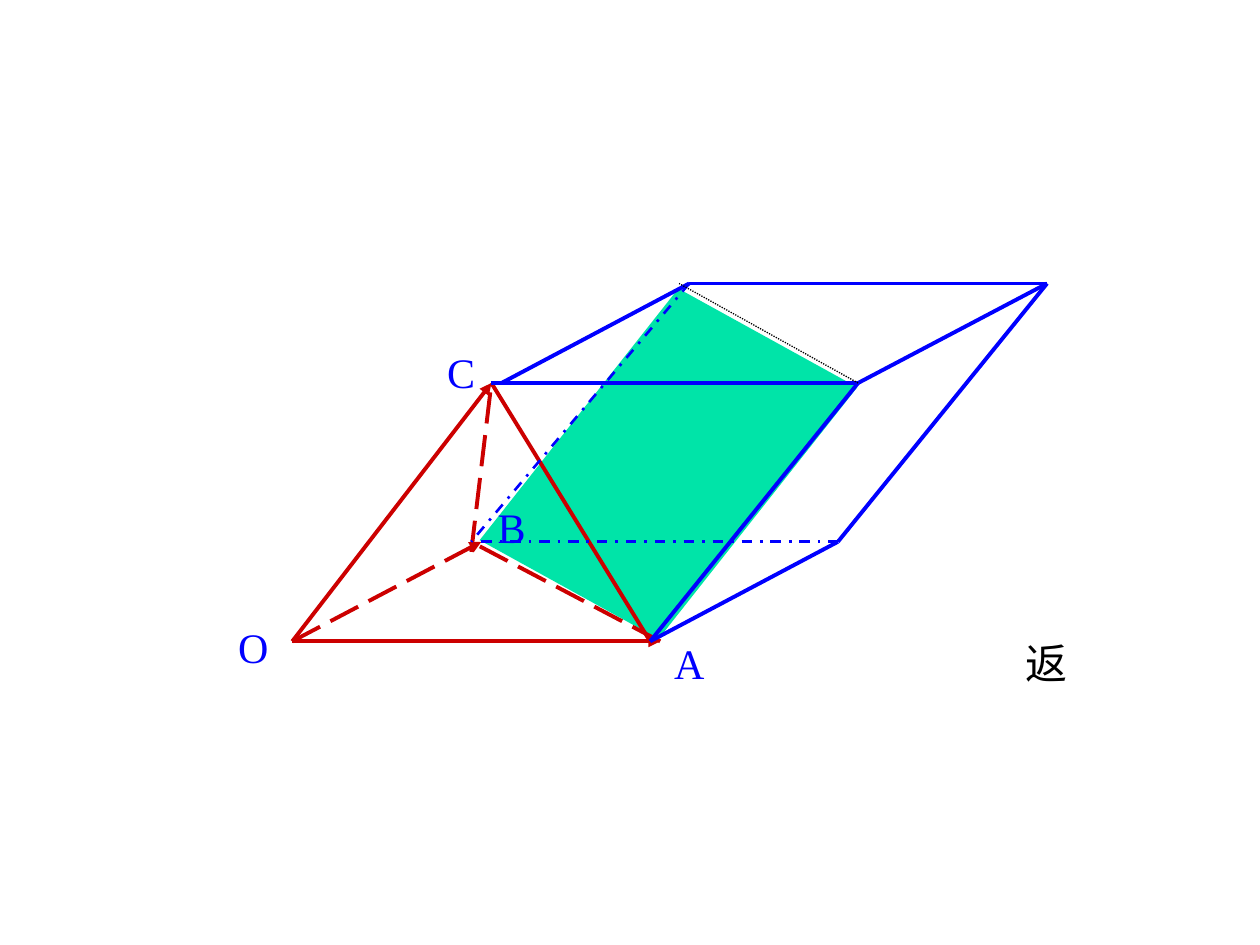
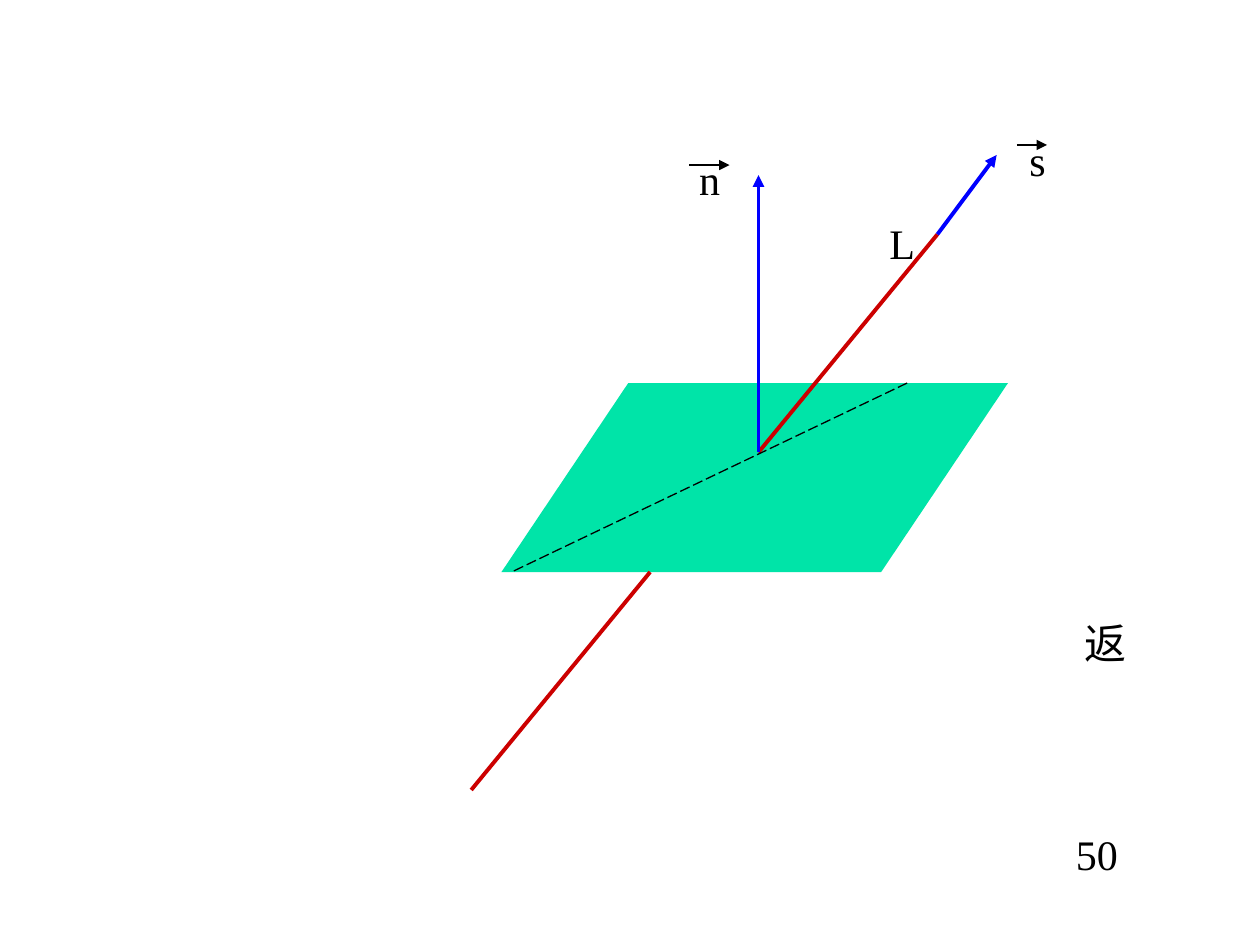
from lxml import etree
from pptx import Presentation
from pptx.dml.color import RGBColor
from pptx.enum.dml import MSO_LINE
from pptx.enum.shapes import MSO_CONNECTOR, MSO_SHAPE
from pptx.enum.text import MSO_AUTO_SIZE, PP_ALIGN
from pptx.oxml.ns import qn
from pptx.util import Inches, Pt

STRAIGHT = MSO_CONNECTOR.STRAIGHT
PARALLELOGRAM = MSO_SHAPE.PARALLELOGRAM
LONG, DASH_DOT, DOT = MSO_LINE.LONG_DASH, MSO_LINE.DASH_DOT, MSO_LINE.ROUND_DOT
CENTER = PP_ALIGN.CENTER
GROW = MSO_AUTO_SIZE.SHAPE_TO_FIT_TEXT

# Shared look
RED, BLUE, BLACK, GREEN = "CC0000", "0000FF", "000000", "00E4A8"
FONT, SIZE, LABEL_H = "Times New Roman", 24, 0.5

# Line styles: colour, width in points, dash, arrowhead
STYLES = {
    "red": (RED, 2.25, None, False),
    "red arrow": (RED, 2.25, None, True),
    "red dashed": (RED, 2.25, LONG, False),
    "red dashed arrow": (RED, 2.25, LONG, True),
    "blue": (BLUE, 2.25, None, False),
    "blue arrow": (BLUE, 2.25, None, True),
    "blue hidden": (BLUE, 1.5, DASH_DOT, False),
    "dotted": (BLACK, 0.75, DOT, False),
    "dashed": (BLACK, 0.75, LONG, False),
    "vector mark": (BLACK, 1.5, None, True),
}

# Parallelepiped vertices; A2 and B2 are the tips of vectors OA and OB
O, A, B, C = (2.32, 5.09), (5.16, 5.09), (3.74, 4.3), (3.9, 3.04)
A2, B2, B3, C2 = (5.24, 5.09), (3.82, 4.3), (3.74, 4.38), (3.98, 3.04)
AB, AC, BC, ABC = (6.65, 4.3), (6.81, 3.04), (5.47, 2.25), (8.31, 2.25)

# Line L meets the plane at P, passes behind it until Q and ends at TOP
P, Q, TOP = (6.02, 3.59), (5.16, 4.54), (7.44, 1.86)

# Labels: text, left, top, width, colour
SLIDES = [
    {
        "plane": dict(box=(3.9, 2.88, 2.81, 1.6), slant=0.166, rotation=128.3, flip=True),
        "back": [
            ("red arrow", O, A2), ("red dashed arrow", O, B2), ("red arrow", O, C),
            ("red", C, A), ("red dashed", A2, B), ("red dashed", B3, C),
        ],
        "labels": [
            ("O", 1.79, 4.88, 0.44, BLUE), ("A", 5.25, 5.01, 0.44, BLUE),
            ("B", 3.85, 3.93, 0.42, BLUE), ("C", 3.45, 2.7, 0.42, BLUE),
            ("返", 8.04, 5.01, 0.53, BLACK),
        ],
        "front": [
            ("blue", AC, A), ("blue", A, AB), ("blue", ABC, AB),
            ("blue hidden", BC, B), ("blue", C, AC), ("blue", BC, ABC),
            ("blue", AC, ABC), ("blue", C2, BC), ("dotted", AC, (5.39, 2.25)),
            ("blue hidden", B2, AB),
        ],
    },
    {
        "plane": dict(box=(3.98, 3.04, 4.02, 1.5), slant=0.671),
        "back": [
            ("red", P, TOP), ("red", (3.74, 6.27), Q),
            ("dashed", (7.2, 3.04), (4.06, 4.54)),
            ("blue arrow", TOP, (7.91, 1.23)), ("blue arrow", P, (6.02, 1.39)),
        ],
        "labels": [
            ("L", 6.96, 1.68, 0.4, BLACK), ("s", 8.07, 1.02, 0.33, BLACK),
            ("返", 8.51, 4.85, 0.53, BLACK), ("50", 8.44, 6.53, 0.53, BLACK),
            ("n", 5.45, 1.17, 0.36, BLACK),
        ],
        "front": [
            ("vector mark", (8.07, 1.15), (8.31, 1.15)),
            ("vector mark", (5.47, 1.31), (5.79, 1.31)),
        ],
    },
]


def rgb(color):
    return RGBColor.from_string(color)


def add_plane(slide, box, slant, rotation=0, flip=False):
    sp = slide.shapes.add_shape(PARALLELOGRAM, *map(Inches, box))
    sp.adjustments[0] = slant
    sp.rotation = rotation
    if flip:
        sp._element.spPr.find(qn("a:xfrm")).set("flipH", "1")
    sp.shadow.inherit = False
    sp.fill.solid()
    sp.fill.fore_color.rgb = rgb(GREEN)
    sp.line.fill.background()


def add_line(slide, style, start, end):
    color, width, dash, arrow = STYLES[style]
    cx = slide.shapes.add_connector(STRAIGHT, *map(Inches, start + end))
    cx.line.color.rgb = rgb(color)
    cx.line.width = Pt(width)
    if dash:
        cx.line.dash_style = dash
    if arrow:
        etree.SubElement(cx.line._get_or_add_ln(), qn("a:tailEnd"), type="triangle")
    etree.SubElement(cx._element.spPr, qn("a:effectLst"))


def add_label(slide, text, left, top, width, color):
    tb = slide.shapes.add_textbox(*map(Inches, (left, top, width, LABEL_H)))
    tf = tb.text_frame
    tf.word_wrap = False
    tf.auto_size = GROW
    tf.text = text
    p = tf.paragraphs[0]
    p.alignment = CENTER
    font = p.runs[0].font
    font.name, font.size = FONT, Pt(SIZE)
    font.color.rgb = rgb(color)


def main():
    prs = Presentation()
    prs.slide_width, prs.slide_height = Inches(10), Inches(7.5)
    blank = prs.slide_layouts[6]
    for figure in SLIDES:
        slide = prs.slides.add_slide(blank)
        add_plane(slide, **figure["plane"])
        for line in figure["back"]:
            add_line(slide, *line)
        for label in figure["labels"]:
            add_label(slide, *label)
        for line in figure["front"]:
            add_line(slide, *line)
    prs.save("out.pptx")


if __name__ == "__main__":
    main()
